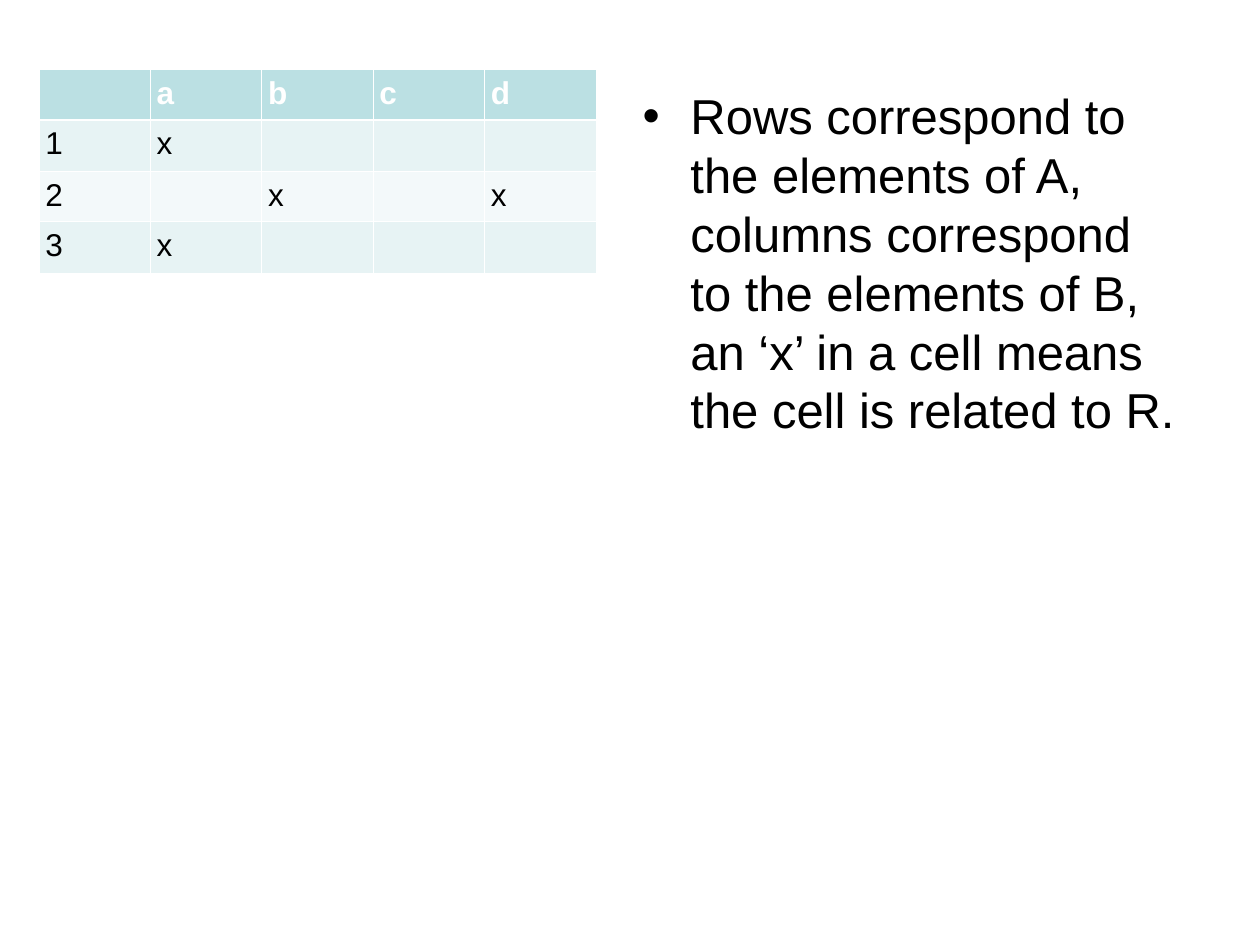
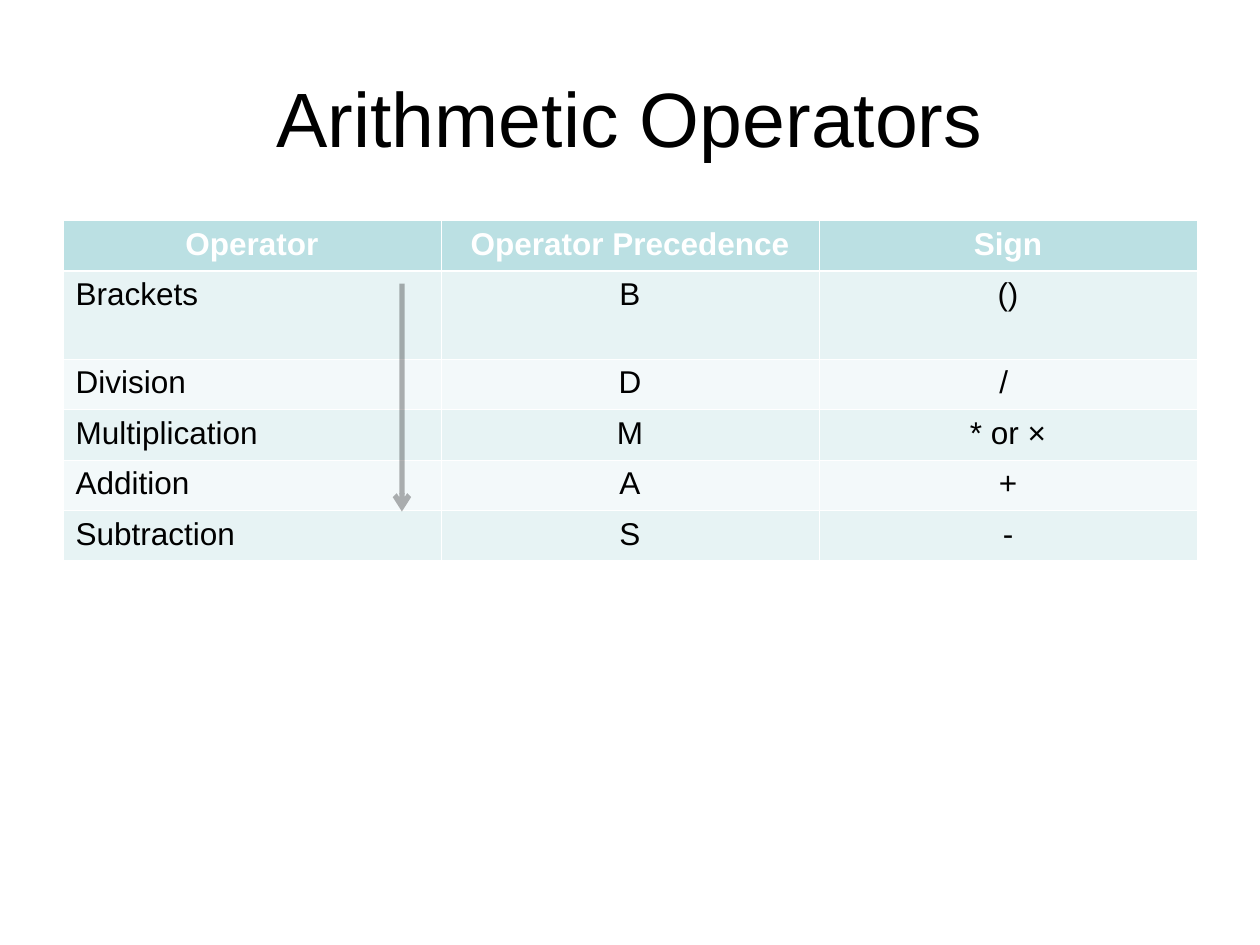
from lxml.etree import SubElement
from pptx import Presentation
from pptx.dml.color import RGBColor
from pptx.enum.shapes import MSO_CONNECTOR
from pptx.enum.text import MSO_ANCHOR, MSO_AUTO_SIZE, PP_ALIGN
from pptx.oxml.ns import qn
from pptx.util import Pt

SCALE = 9144
FONT = "Arial"
BLACK, WHITE = "000000", "FFFFFF"
HEAD, ODD, EVEN = "BBE0E3", "E7F3F4", "F3F9FA"
THIN, THICK = 0.45, 1.47
LEFT, MID = PP_ALIGN.LEFT, PP_ALIGN.CENTER

MARKS = [
    ["", "a", "b", "c", "d"],
    ["1", "x", "", "", ""],
    ["2", "", "x", "", "x"],
    ["3", "x", "", "", ""],
]
RULES = [
    ["Operator", "Operator Precedence", "Sign"],
    ["Brackets", "B", "()"],
    ["Division", "D", "/ "],
    ["Multiplication", "M", "* or ×"],
    ["Addition", "A", "+"],
    ["Subtraction", "S", "-"],
]
NOTE = ("Rows correspond to the elements of A, columns correspond to the "
        "elements of B, an ‘x’ in a cell means the cell is related to R.")


def px(count):
    return count * SCALE


def tint(code):
    return RGBColor.from_string(code)


def put(frame, text, size=18, color=BLACK, bold=False, align=LEFT):
    para = frame.paragraphs[0]
    para.alignment = align
    run = para.add_run()
    run.text = text
    font = run.font
    font.name, font.size, font.bold = FONT, Pt(size), bold
    font.color.rgb = tint(color)
    return para


def place(shape, left, top, width, height):
    shape.left, shape.top = px(left), px(top)
    shape.width, shape.height = px(width), px(height)
    frame = shape.text_frame
    frame.word_wrap = True
    frame.auto_size = MSO_AUTO_SIZE.NONE
    return frame


def title(slide, text):
    frame = place(slide.shapes.title, 50, 30, 900, 125)
    frame.vertical_anchor = MSO_ANCHOR.MIDDLE
    put(frame, text, size=44, align=MID)


def bullet(shape, text, box):
    frame = place(shape, *box)
    frame.vertical_anchor = MSO_ANCHOR.TOP
    para = put(frame, text, size=28)
    para.space_before = Pt(7)
    para.line_spacing = 1.0
    props = para._p.get_or_add_pPr()
    props.set("marL", str(px(38)))
    props.set("indent", str(-px(38)))
    shade = SubElement(props, qn("a:buClr"))
    SubElement(shade, qn("a:srgbClr"), val=BLACK)
    SubElement(props, qn("a:buFont"), typeface=FONT)
    SubElement(props, qn("a:buChar"), char="•")


def edge(cell, row):
    props = cell._tc.get_or_add_tcPr()
    for side in "LRTB":
        heavy = (row, side) in ((0, "B"), (1, "T"))
        width = Pt(THICK if heavy else THIN)
        line = SubElement(props, qn("a:ln" + side), w=str(width))
        fill = SubElement(line, qn("a:solidFill"))
        SubElement(fill, qn("a:srgbClr"), val=WHITE)


def table(slide, data, left, top, width, rows, pad, center=False):
    count = len(data[0])
    grid = slide.shapes.add_table(len(data), count, px(left), px(top),
                                  px(width), px(sum(rows))).table
    grid.horz_banding = False
    for col in grid.columns:
        col.width = px(width) // count
    for i, texts in enumerate(data):
        grid.rows[i].height = px(rows[i])
        for j, text in enumerate(texts):
            cell = grid.cell(i, j)
            cell.margin_left = cell.margin_right = px(pad)
            cell.margin_top = cell.margin_bottom = px(5)
            edge(cell, i)
            cell.fill.solid()
            shade = HEAD if i == 0 else ODD if i % 2 else EVEN
            cell.fill.fore_color.rgb = tint(shade)
            mid = center and (i == 0 or j > 0)
            put(cell.text_frame, text, color=BLACK if i else WHITE,
                bold=i == 0, align=MID if mid else LEFT)


def arrow(slide, x, top, end, width, alpha):
    link = slide.shapes.add_connector(MSO_CONNECTOR.STRAIGHT,
                                      px(x), px(top), px(x), px(end))
    link.line.width = Pt(width)
    link.line.color.rgb = tint(BLACK)
    props = link.element.spPr
    line = props.find(qn("a:ln"))
    shade = line.find(".//" + qn("a:srgbClr"))
    SubElement(shade, qn("a:alpha"), val=str(alpha * 1000))
    SubElement(line, qn("a:tailEnd"), type="arrow")
    SubElement(props, qn("a:effectLst"))


def main():
    deck = Presentation()
    deck.slide_width, deck.slide_height = px(1000), px(750)

    slide = deck.slides.add_slide(deck.slide_layouts[1])
    head = slide.shapes.title.element
    head.getparent().remove(head)
    table(slide, MARKS, 31, 55, 442, [40, 41] * 2, pad=5)
    bullet(slide.placeholders[1], NOTE, (500, 63, 445, 495))

    slide = deck.slides.add_slide(deck.slide_layouts[5])
    title(slide, "Arithmetic Operators")
    table(slide, RULES, 50, 175, 900, [40, 70] + [40] * 4, pad=10,
          center=True)
    arrow(slide, 319, 225, 406, width=3, alpha=30)

    deck.save("out.pptx")


if __name__ == "__main__":
    main()
